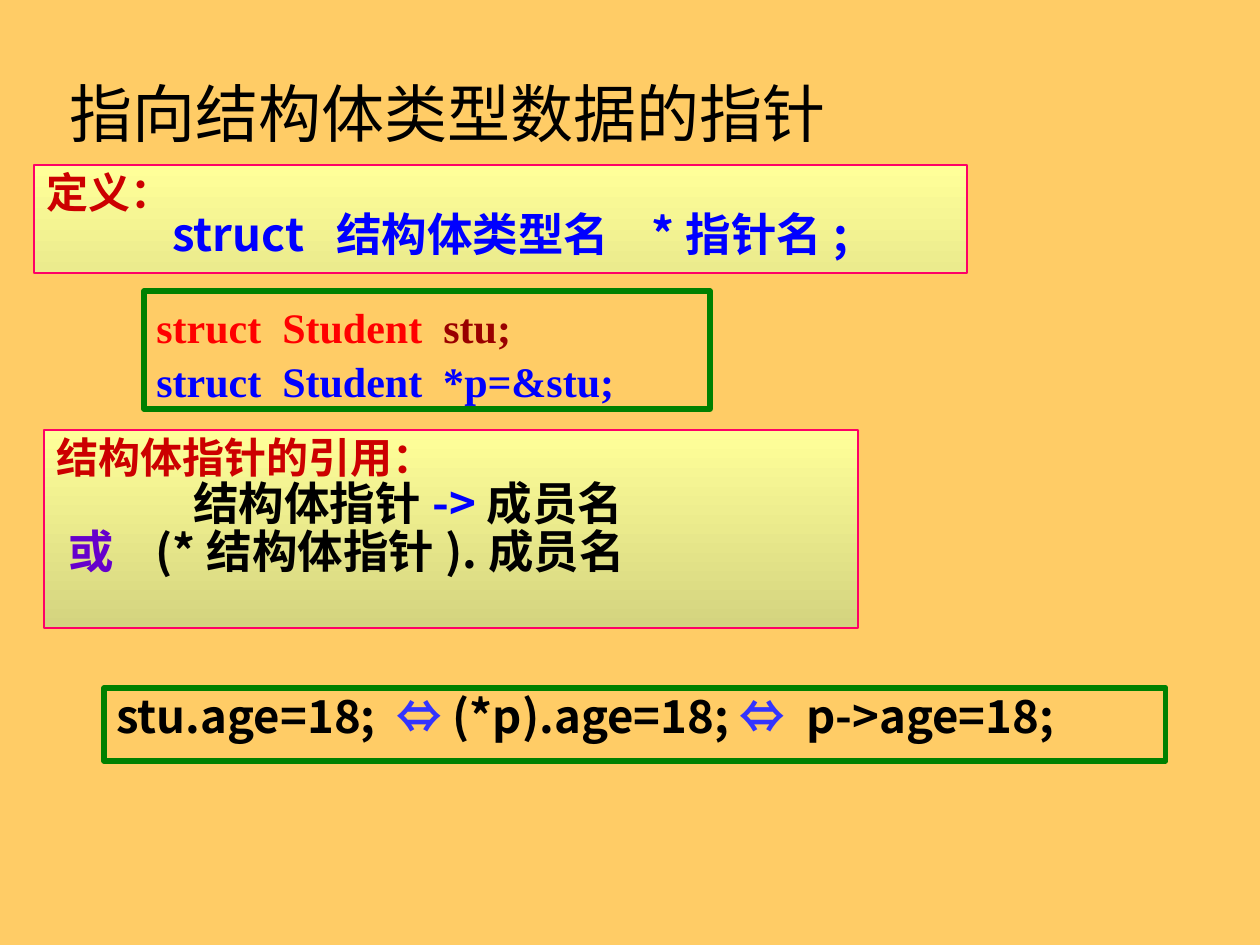
from pptx import Presentation
from pptx.dml.color import RGBColor
from pptx.enum.shapes import MSO_SHAPE as SHAPE
from pptx.enum.text import MSO_ANCHOR as ANCHOR, PP_ALIGN as ALIGN
from pptx.oxml.ns import qn
from pptx.util import Pt

PX = 914400 // 126
SANS, SERIF = "Noto Sans CJK SC", "Times New Roman"
SAND = RGBColor(0xFF, 0xCC, 0x66)
BLACK = RGBColor(0, 0, 0)
CRIMSON = RGBColor(0xCC, 0, 0)
RED = RGBColor(0xFF, 0, 0)
MAROON = RGBColor(0x99, 0, 0)
BLUE = RGBColor(0, 0, 0xFF)
SKY = RGBColor(0x33, 0x33, 0xFF)
VIOLET = RGBColor(0x66, 0, 0xCC)
GREEN = RGBColor(0, 0x80, 0)
PINK = RGBColor(0xFF, 0, 0x66)
CREAM = RGBColor(0xFF, 0xFF, 0x99)
LIME = RGBColor(0xEB, 0xEB, 0x8D)
OLIVE = RGBColor(0xD4, 0xD4, 0x7F)


def style(run, face, size, color, bold):
    font = run.font
    font.name, font.size, font.bold = face, Pt(size), bold
    font.color.rgb = color
    east = font._element.makeelement(qn("a:ea"), {"typeface": face})
    font._element.find(qn("a:latin")).addnext(east)


prs = Presentation()
prs.slide_width, prs.slide_height = 1260 * PX, 945 * PX
slide = prs.slides.add_slide(prs.slide_layouts[5])
slide.background.fill.solid()
slide.background.fill.fore_color.rgb = SAND

# Title
title = slide.shapes.title
title.left, title.top, title.width, title.height = [n * PX for n in (57, 67, 1134, 91)]
frame = title.text_frame
frame.text = "指向结构体类型数据的指针"
frame.vertical_anchor = ANCHOR.MIDDLE
frame.paragraphs[0].alignment = ALIGN.LEFT
style(frame.paragraphs[0].runs[0], SANS, 36, BLACK, False)

# Boxes: place, end of gradient, font, lines
# Line: size, left margin, first indent, coloured pieces
boxes = [
    ((34, 165, 933, 108), LIME, SANS, [
        (24, 0, 0, [("定义：", CRIMSON)]),
        (26, 126, 0, [("struct  结构体类型名   *指针名;", BLUE)]),
    ]),
    ((144, 291, 566, 118), None, SERIF, [
        (24, 0, 0, [("struct  Student  ", RED), ("stu;", MAROON)]),
        (24, 0, 0, [("struct  Student  *p=&stu;", BLUE)]),
    ]),
    ((44, 430, 814, 198), OLIVE, SANS, [
        (24, 0, 0, [("结构体指针的引用：", CRIMSON)]),
        (26, 137, 0, [("结构体指针", BLACK), ("->", BLUE), ("成员名", BLACK)]),
        (26, 99, -87, [("或\t", VIOLET), ("(*结构体指针).成员名", BLACK)]),
    ]),
    ((104, 688, 1062, 73), None, SANS, [
        (26, 0, 0, [("stu.age=18;  ", BLACK), ("⇔ ", SKY), ("(*p).age=18; ", BLACK),
                    ("⇔  ", SKY), ("p->age=18;", BLACK)]),
    ]),
]

for place, shade, face, lines in boxes:
    box = slide.shapes.add_shape(SHAPE.RECTANGLE, *[n * PX for n in place])
    box.shadow.inherit = False
    if shade:
        box.fill.gradient()
        box.fill.gradient_angle = 270
        for stop, color, spot in zip(box.fill.gradient_stops, (CREAM, shade), (0, 1)):
            stop.color.rgb, stop.position = color, spot
    else:
        box.fill.background()
    box.line.color.rgb = PINK if shade else GREEN
    box.line.width = Pt(1.5 if shade else 3)

    frame = box.text_frame
    frame.word_wrap = True
    frame.vertical_anchor = ANCHOR.TOP
    frame.margin_top = (11 if face == SANS else 8) * PX
    for i, (size, left, first, parts) in enumerate(lines):
        para = frame.paragraphs[0] if i == 0 else frame.add_paragraph()
        para.alignment = ALIGN.LEFT
        para.line_spacing = 0.8 if face == SANS else 1.06
        if i and shade == OLIVE:
            para.space_before = Pt(2.5)
        props = para._p.get_or_add_pPr()
        props.set("marL", str(left * PX))
        props.set("indent", str(first * PX))
        for text, color in parts:
            run = para.add_run()
            run.text = text
            style(run, face, size, color, True)

prs.save("out.pptx")
